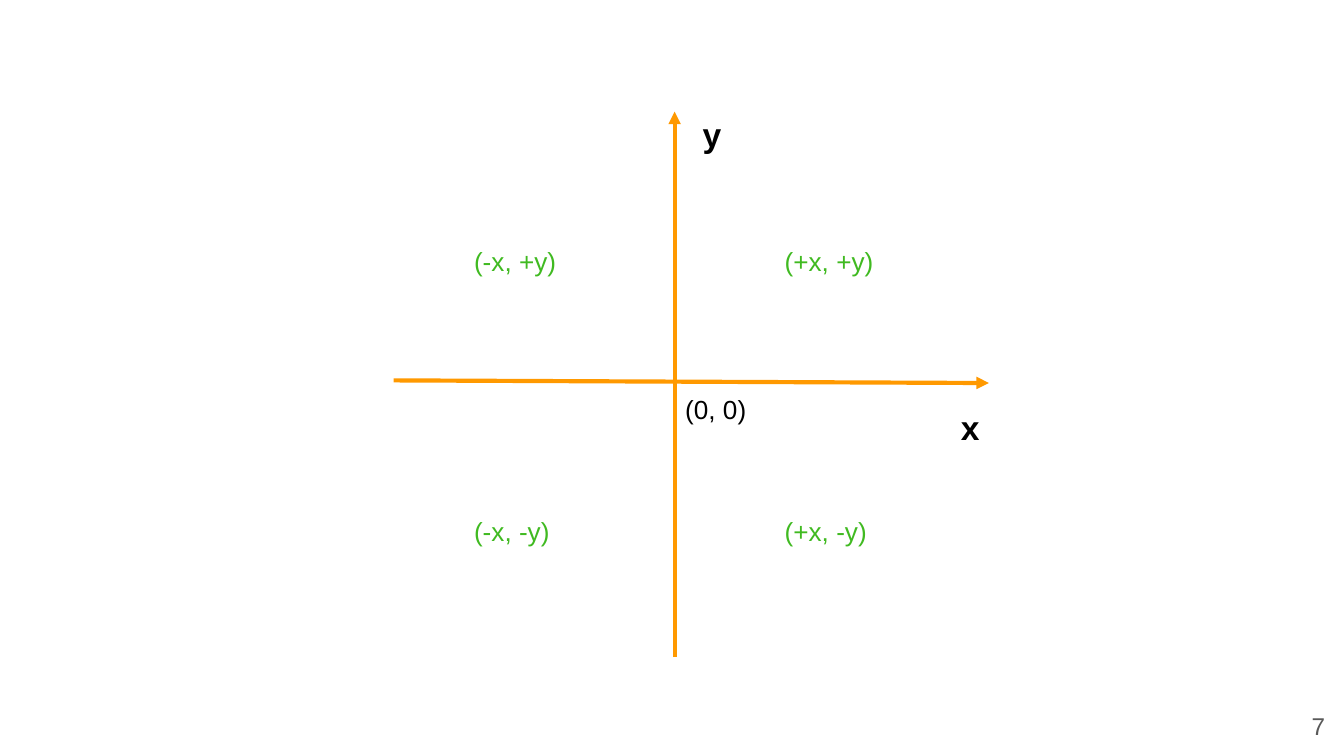
from lxml import etree
from pptx import Presentation
from pptx.dml.color import RGBColor
from pptx.enum import shapes, text
from pptx.oxml import ns
from pptx.util import Cm, Pt

ORANGE = RGBColor(0xFF, 0x99, 0x00)
GREEN = RGBColor(0x40, 0xBA, 0x21)
BLACK = RGBColor(0, 0, 0)
GRAY = RGBColor(0x59, 0x59, 0x59)

AXES = [
    (12.75, 12.42, 12.75, 2.11),
    (7.44, 7.19, 18.69, 7.24),
]
AXIS_NAMES = [
    ("y", (13.03, 1.9, 11.76, 1.27)),
    ("x", (17.91, 7.44, 6.22, 1.27)),
]
COLUMNS = {"-x": 8.71, "+x": 14.58}
ROWS = {"+y": 4.39, "-y": 9.5}
POINT_SIZE = (2.21, 1.12)


def add_axis(slide, ends):
    axis = slide.shapes.add_connector(
        shapes.MSO_CONNECTOR.STRAIGHT, *[Cm(value) for value in ends])
    axis.line.color.rgb = ORANGE
    axis.line.width = Pt(2.25)
    line = axis.line._get_or_add_ln()
    etree.SubElement(line, ns.qn("a:tailEnd"), type="triangle")
    etree.SubElement(axis._element.spPr, ns.qn("a:effectLst"))


def add_label(slide, words, box, size, color, bold=False):
    label = slide.shapes.add_textbox(*[Cm(value) for value in box])
    frame = label.text_frame
    frame.word_wrap = True
    frame.margin_left = frame.margin_right = Cm(0.25)
    frame.margin_top = frame.margin_bottom = Cm(0.25)
    run = frame.paragraphs[0].add_run()
    run.text = words
    run.font.name = "Arial"
    run.font.size = Pt(size)
    run.font.bold = bold
    run.font.color.rgb = color
    return frame


def main():
    presentation = Presentation()
    presentation.slide_width = Cm(25.4)
    presentation.slide_height = Cm(14.29)
    slide = presentation.slides.add_slide(presentation.slide_layouts[6])

    number = add_label(slide, "7", (23.77, 13.18, 1.52, 1.09), 13, GRAY)
    number.vertical_anchor = text.MSO_ANCHOR.MIDDLE
    number.paragraphs[0].alignment = text.PP_ALIGN.RIGHT

    for ends in AXES:
        add_axis(slide, ends)
    for name, box in AXIS_NAMES:
        add_label(slide, name, box, 18, BLACK, bold=True)
    add_label(slide, "(0, 0)", (12.7, 7.19, *POINT_SIZE), 14, BLACK)
    for x_sign, left in COLUMNS.items():
        for y_sign, top in ROWS.items():
            add_label(slide, f"({x_sign}, {y_sign})",
                      (left, top, *POINT_SIZE), 14, GREEN)

    presentation.save("out.pptx")


if __name__ == "__main__":
    main()
